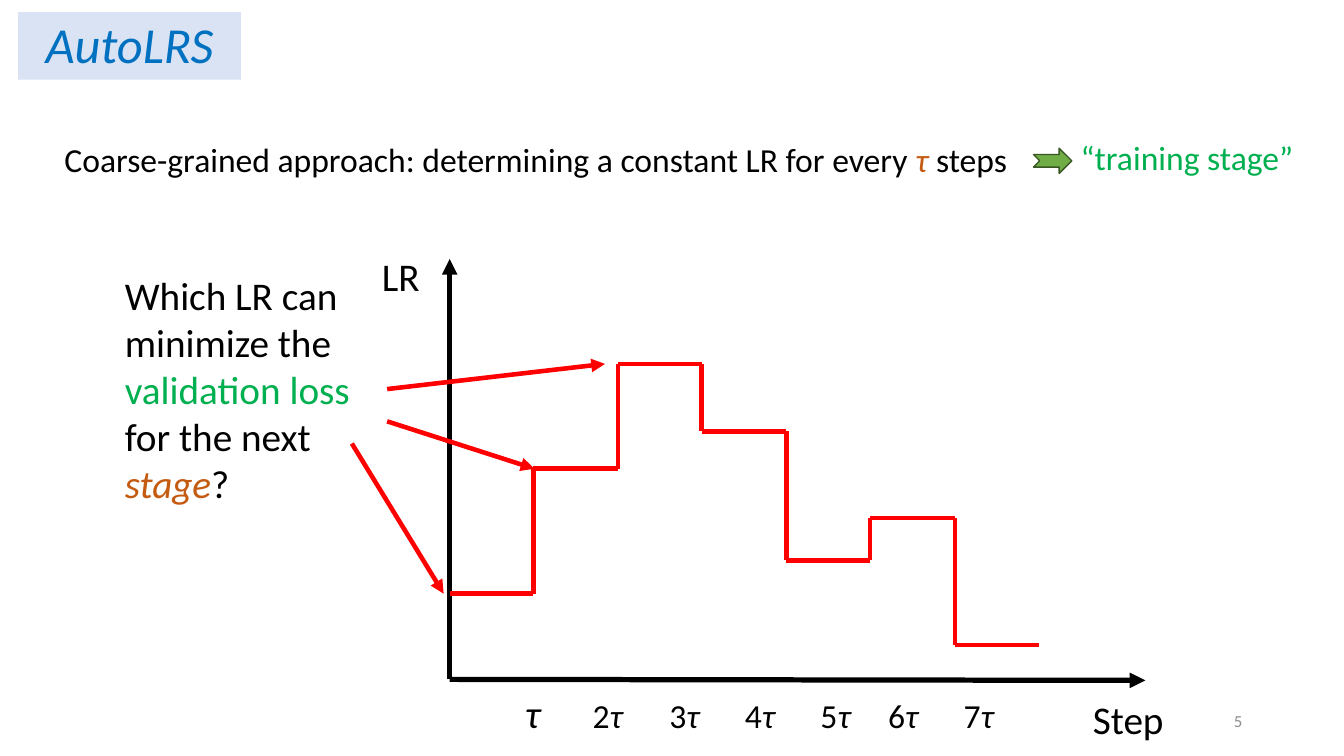
from pptx import Presentation
from pptx.dml.color import RGBColor
from pptx.enum.shapes import MSO_CONNECTOR as CONN, MSO_SHAPE as SHAPE
from pptx.enum.text import MSO_ANCHOR as ANCHOR, MSO_AUTO_SIZE as AUTO, PP_ALIGN as ALIGN
from pptx.oxml.ns import qn
from pptx.util import Pt
from lxml.etree import SubElement

PX = 9144
BLACK, RED, GREEN, ORANGE = "000000", "FF0000", "00B050", "C55A11"
STAGE_LEVELS = [589, 465, 361, 428, 556, 514, 640]
STAGE_EDGES = [round(446 + i * 584 / 7) for i in range(8)]
TICK_STOPS = [67, 143, 218, 293, 360, 435]


def emu(*lengths):
    """Turn px lengths into EMU."""
    return [n * PX for n in lengths]


def rgb(value):
    """Turn a hex string into a colour."""
    return RGBColor.from_string(value)


def assign(obj, values):
    """Set attributes from a dict of format values."""
    for name, value in values.items():
        setattr(obj, name, value)


def write(tf, runs, size, **frame):
    """Write (text, colour, italic) or (text, colour, italic, size) runs as one paragraph."""
    assign(tf, frame)
    p = tf.paragraphs[0]
    for text, color, italic, *own_size in runs:
        r = p.add_run()
        r.text = text
        points = own_size[0] if own_size else size
        assign(r.font, {"size": Pt(points), "name": "Calibri", "italic": italic})
        r.font.color.rgb = rgb(color)
    return p


def add_text(s, box, runs, size, wrap=True, **frame):
    """Add a text box and return its paragraph."""
    tf = s.shapes.add_textbox(*emu(*box)).text_frame
    frame = {"word_wrap": wrap, "auto_size": AUTO.SHAPE_TO_FIT_TEXT, **frame}
    return write(tf, runs, size, **frame)


def add_line(s, start, end, color=RED, width=3.25, arrow=False):
    """Add a straight line, with an arrowhead at its end if asked."""
    line = s.shapes.add_connector(CONN.STRAIGHT, *emu(*start, *end))
    line.line.color.rgb = rgb(color)
    line.line.width = Pt(width)
    if arrow:
        SubElement(line.line._get_or_add_ln(), qn("a:tailEnd"), type="triangle")
    SubElement(line._element.spPr, qn("a:effectLst"))


def add_title(s, text):
    """Fill the title placeholder as a tinted label."""
    title = s.shapes.title
    assign(title, dict(zip(("left", "top", "width", "height"), emu(18, 12, 221, 67))))
    title.fill.solid()
    title.fill.fore_color.rgb = rgb("DAE3F3")
    p = write(title.text_frame, [(text, "0070C0", True)], 36,
              vertical_anchor=ANCHOR.BOTTOM, auto_size=AUTO.NONE)
    assign(p, {"alignment": ALIGN.CENTER, "line_spacing": 0.9})


def add_notched_arrow(s, box):
    """Add the green block arrow."""
    sp = s.shapes.add_shape(SHAPE.NOTCHED_RIGHT_ARROW, *emu(*box))
    sp.shadow.inherit = False
    sp.fill.solid()
    sp.fill.fore_color.rgb = rgb("70AD47")
    sp.line.color.rgb = rgb("385723")
    sp.line.width = Pt(1)


def add_staircase(s):
    """Draw one level per stage and the risers between stages."""
    for left, right, y in zip(STAGE_EDGES, STAGE_EDGES[1:], STAGE_LEVELS):
        add_line(s, (left, y), (right, y))
    for x, before, after in zip(STAGE_EDGES[1:], STAGE_LEVELS, STAGE_LEVELS[1:]):
        add_line(s, (x, before), (x, after))


def add_ticks(s):
    """Write the step labels along the axis on tab stops."""
    runs = [("τ", BLACK, True, 28)]
    for n in range(2, 8):
        runs += [(f"\t{n}", BLACK, False), ("τ", BLACK, True)]
    p = add_text(s, (511, 679, 563, 57), runs, 24)
    tabs = SubElement(p._p.get_or_add_pPr(), qn("a:tabLst"))
    for stop in TICK_STOPS:
        SubElement(tabs, qn("a:tab"), pos=str(stop * PX), algn="l")


def main():
    """Build the slide."""
    prs = Presentation()
    prs.slide_width, prs.slide_height = emu(1333, 750)
    s = prs.slides.add_slide(prs.slide_layouts[5])

    add_title(s, "AutoLRS")
    number = add_text(s, (942, 695, 300, 40), [("5", "8C8C8C", False)], 12,
                      vertical_anchor=ANCHOR.MIDDLE, auto_size=AUTO.NONE)
    number.alignment = ALIGN.RIGHT
    add_text(s, (54, 133, 1249, 50), [
        ("Coarse-grained approach: determining a constant LR for every ", BLACK, False),
        ("τ ", ORANGE, True), ("steps", BLACK, False)], 24)

    for end in ((446, 257), (1136, 675)):
        add_line(s, (446, 674), end, BLACK, 3.75, arrow=True)
    add_text(s, (369, 245, 58, 57), [("LR", BLACK, False)], 28, wrap=False)
    add_text(s, (1074, 685, 91, 57), [("Step", BLACK, False)], 28, wrap=False)
    add_staircase(s)
    add_ticks(s)

    add_notched_arrow(s, (1025, 147, 38, 25))
    add_text(s, (1062, 131, 233, 50), [("“training stage”", GREEN, False)], 24, wrap=False)
    add_text(s, (114, 264, 251, 246), [
        ("Which LR can minimize the ", BLACK, False), ("validation loss ", GREEN, False),
        ("for the next ", BLACK, False), ("stage", ORANGE, True), ("?", BLACK, False)], 28)
    for start, end in (((384, 418), (530, 465)), ((349, 440), (440, 589)),
                       ((384, 386), (600, 361))):
        add_line(s, start, end, arrow=True)

    prs.save("out.pptx")


if __name__ == "__main__":
    main()
